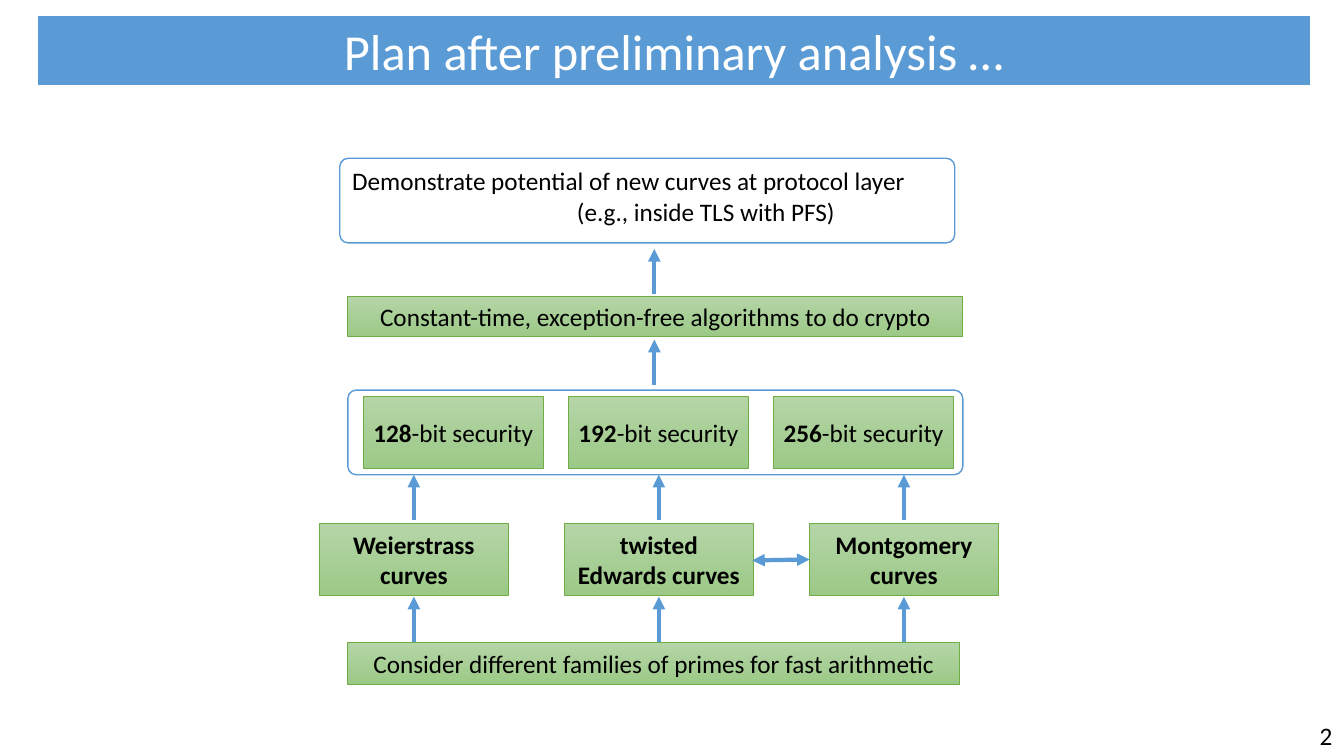
from dataclasses import dataclass

from lxml import etree
from pptx import Presentation, util as u
from pptx.dml.color import RGBColor
from pptx.enum import shapes, text
from pptx.oxml import ns


@dataclass(frozen=True)
class Theme:
    font: str = "Calibri"
    blue: RGBColor = RGBColor(0x5B, 0x9B, 0xD5)
    green: RGBColor = RGBColor(0x70, 0xAD, 0x47)
    green_top: RGBColor = RGBColor(0xB5, 0xD5, 0xA7)
    green_bottom: RGBColor = RGBColor(0x9C, 0xC9, 0x87)
    white: RGBColor = RGBColor(0xFF, 0xFF, 0xFF)
    black: RGBColor = RGBColor(0, 0, 0)
    title_size: int = 36
    body_size: int = 18


THEME = Theme()


def write(shape, spans, size=THEME.body_size, color=THEME.black,
          align=text.PP_ALIGN.CENTER, side=0.1, **frame_format):
    """Fill a shape with one paragraph of (words, bold) spans."""
    frame = shape.text_frame
    values = {"word_wrap": True, "auto_size": text.MSO_AUTO_SIZE.NONE,
              "vertical_anchor": text.MSO_ANCHOR.MIDDLE,
              "margin_left": u.Inches(side), "margin_right": u.Inches(side),
              "margin_top": u.Inches(0.05), "margin_bottom": u.Inches(0.05),
              **frame_format}
    for name, value in values.items():
        setattr(frame, name, value)
    para = frame.paragraphs[0]
    para.alignment = align
    for words, bold in spans:
        span = para.add_run()
        span.text = words
        for name, value in {"name": THEME.font, "size": u.Pt(size), "bold": bold}.items():
            setattr(span.font, name, value)
        span.font.color.rgb = color
    return para


def outline(shape, color, width):
    shape.line.color.rgb = color
    shape.line.width = u.Pt(width)


def add_title(page, words):
    title = page.shapes.title
    place = {"left": 0.37, "top": 0.15, "width": 12.63, "height": 0.7}
    for name, value in place.items():
        setattr(title, name, u.Inches(value))
    title.fill.solid()
    title.fill.fore_color.rgb = THEME.blue
    outline(title, THEME.white, 1.5)
    write(title, [(words, False)], THEME.title_size, THEME.white)


def add_box(page, kind, left, top, width, height):
    box = page.shapes.add_shape(kind, *map(u.Inches, (left, top, width, height)))
    box.shadow.inherit = False
    return box


def add_green_box(page, left, top, width, height, spans, side=0.1):
    box = add_box(page, shapes.MSO_SHAPE.RECTANGLE, left, top, width, height)
    box.fill.gradient()
    box.fill.gradient_angle = 270
    for stop, color in zip(box.fill.gradient_stops, (THEME.green_top, THEME.green_bottom)):
        stop.color.rgb = color
    outline(box, THEME.green, 0.5)
    write(box, spans, side=side)


def add_frame(page, left, top):
    frame = add_box(page, shapes.MSO_SHAPE.ROUNDED_RECTANGLE, left, top, 6.1, 0.84)
    frame.adjustments[0] = 0.1
    frame.fill.solid()
    frame.fill.fore_color.rgb = THEME.white
    outline(frame, THEME.blue, 1)
    return frame


def add_arrow(page, start, end, both_ends=False):
    arrow = page.shapes.add_connector(
        shapes.MSO_CONNECTOR.STRAIGHT, *map(u.Inches, (*start, *end)))
    outline(arrow, THEME.blue, 3)
    line = arrow.line._get_or_add_ln()
    for tag in ("a:headEnd", "a:tailEnd") if both_ends else ("a:tailEnd",):
        etree.SubElement(line, ns.qn(tag), type="triangle")
    etree.SubElement(arrow._element.spPr, ns.qn("a:effectLst"))


def add_up_arrow(page, x, bottom):
    add_arrow(page, (x, bottom), (x, bottom - 0.45))


def add_goal(page):
    goal = add_frame(page, 3.37, 1.57)
    para = write(goal, [("Demonstrate potential of new curves at protocol layer "
                         "(e.g., inside TLS with PFS)", False)],
                 align=text.PP_ALIGN.LEFT, vertical_anchor=text.MSO_ANCHOR.TOP)
    # Hanging indent sets the second line further right
    hang = u.Inches(2.23)
    properties = para._p.get_or_add_pPr()
    properties.set("marL", str(hang))
    properties.set("indent", str(-hang))


def main():
    deck = Presentation()
    deck.slide_width, deck.slide_height = u.Inches(13.33), u.Inches(7.5)
    page = deck.slides.add_slide(deck.slide_layouts[5])
    add_title(page, "Plan after preliminary analysis …")

    # Goal and algorithms
    add_goal(page)
    add_green_box(page, 3.45, 2.94, 6.1, 0.4,
                  [("Constant-time, exception-free algorithms to do crypto", False)])
    for bottom in (2.92, 3.82):
        add_up_arrow(page, 6.49, bottom)

    # Security levels
    add_frame(page, 3.45, 3.87)
    for column, bits in enumerate(("128", "192", "256")):
        add_green_box(page, 3.6 + 2.035 * column, 3.93, 1.79, 0.72,
                      [(bits, True), ("-bit security", False)], side=0.05)

    # Curve families, with arrows in and out
    for column, curves in enumerate(("Weierstrass curves", "twisted Edwards curves",
                                     "Montgomery curves")):
        left = 3.17 + 2.43 * column
        add_green_box(page, left, 5.19, 1.87, 0.72, [(curves, True)])
        for bottom in (5.16, 6.37):
            add_up_arrow(page, left + 0.935, bottom)
    add_arrow(page, (7.46, 5.56), (8.03, 5.55), both_ends=True)

    # Primes
    add_green_box(page, 3.45, 6.37, 6.07, 0.42,
                  [("Consider different families of primes for fast arithmetic", False)])

    # Page number
    number = page.shapes.add_textbox(*map(u.Inches, (12.99, 7.1, 0.34, 0.4)))
    write(number, [("2", False)], align=text.PP_ALIGN.LEFT,
          vertical_anchor=text.MSO_ANCHOR.TOP)

    deck.save("out.pptx")


if __name__ == "__main__":
    main()
